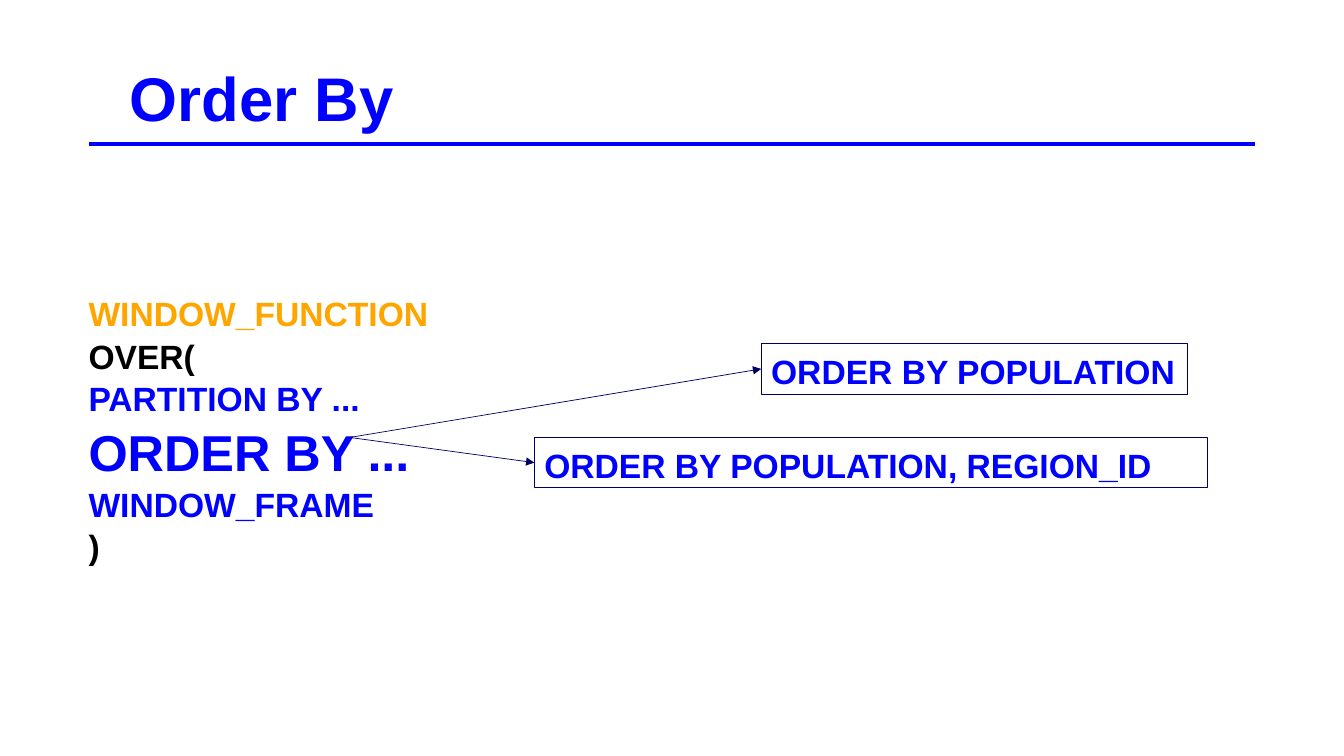
from pptx import Presentation
from pptx.dml.color import RGBColor
from pptx.enum import shapes, text
from pptx.oxml import xmlchemy
from pptx.util import Inches, Pt

BLUE = RGBColor(0x00, 0x00, 0xFF)
NAVY = RGBColor(0x00, 0x00, 0x64)
ORANGE = RGBColor(0xFF, 0xA5, 0x00)
BLACK = RGBColor(0x00, 0x00, 0x00)

CLAUSES = [
    ("WINDOW_FUNCTION", ORANGE, 24),
    ("OVER(", BLACK, 24),
    ("PARTITION BY ...", BLUE, 24),
    ("ORDER BY ...", BLUE, 36),
    ("WINDOW_FRAME", BLUE, 24),
    (")", BLACK, 24),
]
EXAMPLES = [
    ("ORDER BY POPULATION", 7.55, 3.41, 4.23),
    ("ORDER BY POPULATION, REGION_ID", 5.3, 4.34, 6.68),
]


def add_lines(s, left, top, width, height, lines):
    sp = s.shapes.add_textbox(Inches(left), Inches(top), Inches(width), Inches(height))
    tf = sp.text_frame
    tf.word_wrap = True
    tf.vertical_anchor = text.MSO_ANCHOR.TOP
    for i, (words, color, size) in enumerate(lines):
        p = tf.add_paragraph() if i else tf.paragraphs[0]
        p.text = words
        p.line_spacing = 1.05
        p.font.name = "Arial"
        p.font.size = Pt(size)
        p.font.bold = True
        p.font.color.rgb = color
    return sp


def add_line(s, x1, y1, x2, y2, color, width):
    cn = s.shapes.add_connector(
        shapes.MSO_CONNECTOR.STRAIGHT, Inches(x1), Inches(y1), Inches(x2), Inches(y2))
    cn.line.color.rgb = color
    cn.line.width = Pt(width)
    xmlchemy.OxmlElement("a:effectLst")
    cn._element.spPr.append(xmlchemy.OxmlElement("a:effectLst"))
    return cn


def add_title(s, left, top, width, height):
    add_lines(s, left + 0.31, top, width - 0.68, height, [("Order By", BLUE, 44)])
    add_line(s, left, top + 0.92, left + width, top + 0.92, BLUE, 3)


def add_example(s, words, left, top, width, height, start):
    sp = add_lines(s, left, top, width, height, [(words, BLUE, 24)])
    sp.line.color.rgb = NAVY
    sp.line.width = Pt(0.75)
    arrow = add_line(s, *start, left, top + height / 2, NAVY, 0.5)
    arrow.end_connect(sp, 1)
    head = xmlchemy.OxmlElement("a:tailEnd")
    head.set("type", "triangle")
    arrow.line._get_or_add_ln().append(head)


def main():
    prs = Presentation()
    prs.slide_width = Inches(13.33)
    prs.slide_height = Inches(7.5)
    s = prs.slides.add_slide(prs.slide_layouts[6])
    add_title(s, 0.88, 0.51, 11.57, 0.77)
    add_lines(s, 0.78, 2.84, 4.23, 2.73, CLAUSES)
    for words, left, top, width in EXAMPLES:
        add_example(s, words, left, top, width, 0.5, (3.47, 4.34))
    prs.save("out.pptx")


if __name__ == "__main__":
    main()
